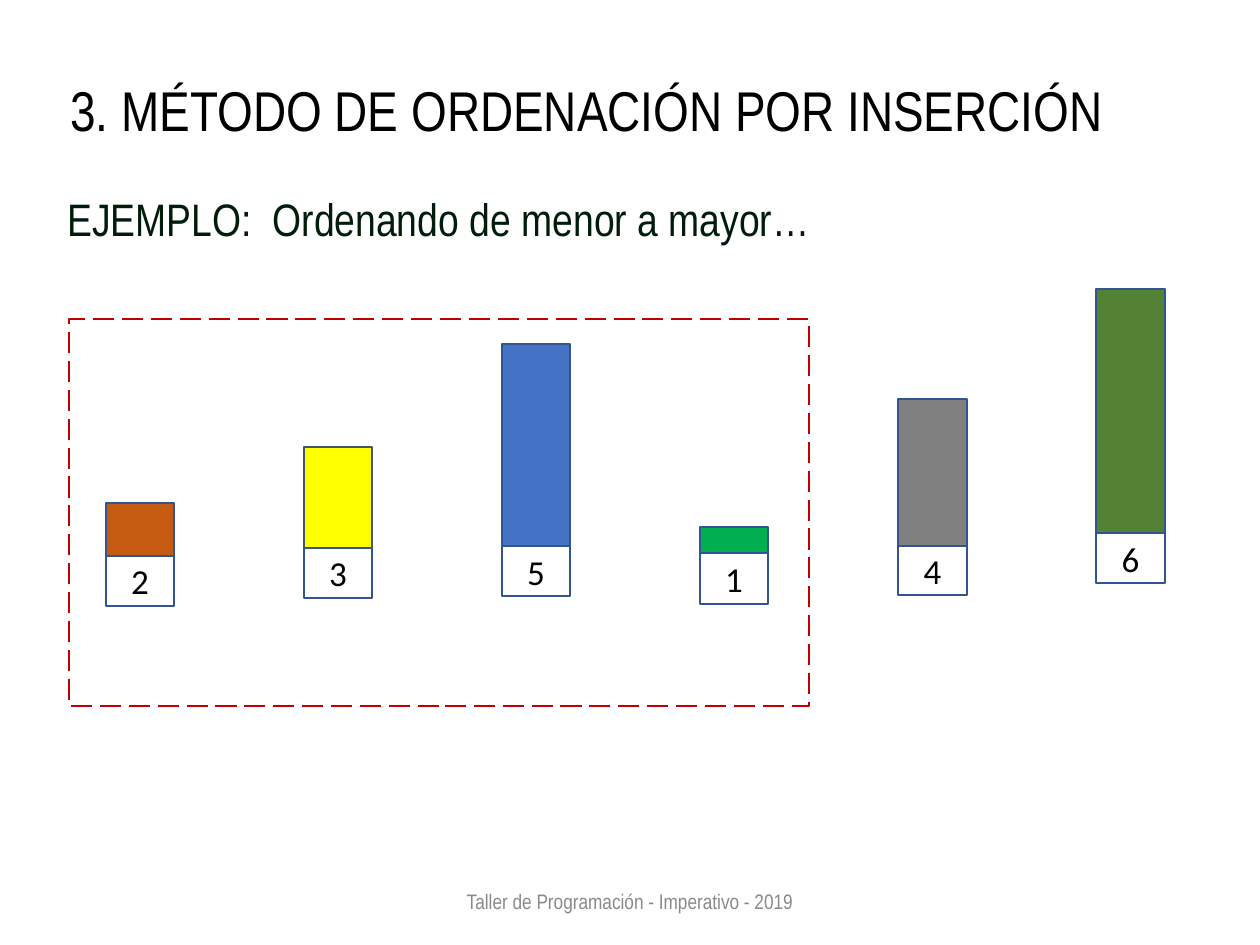
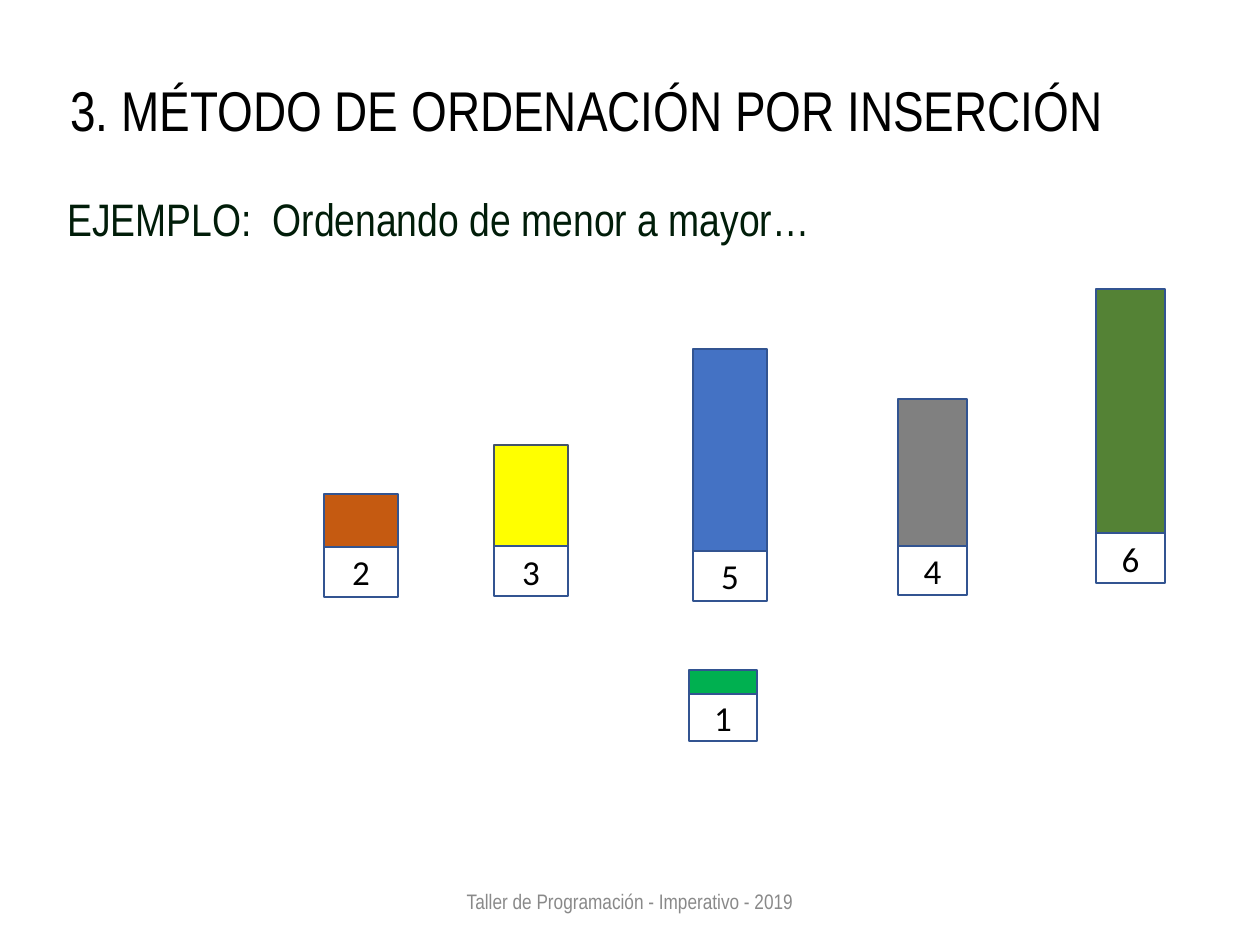
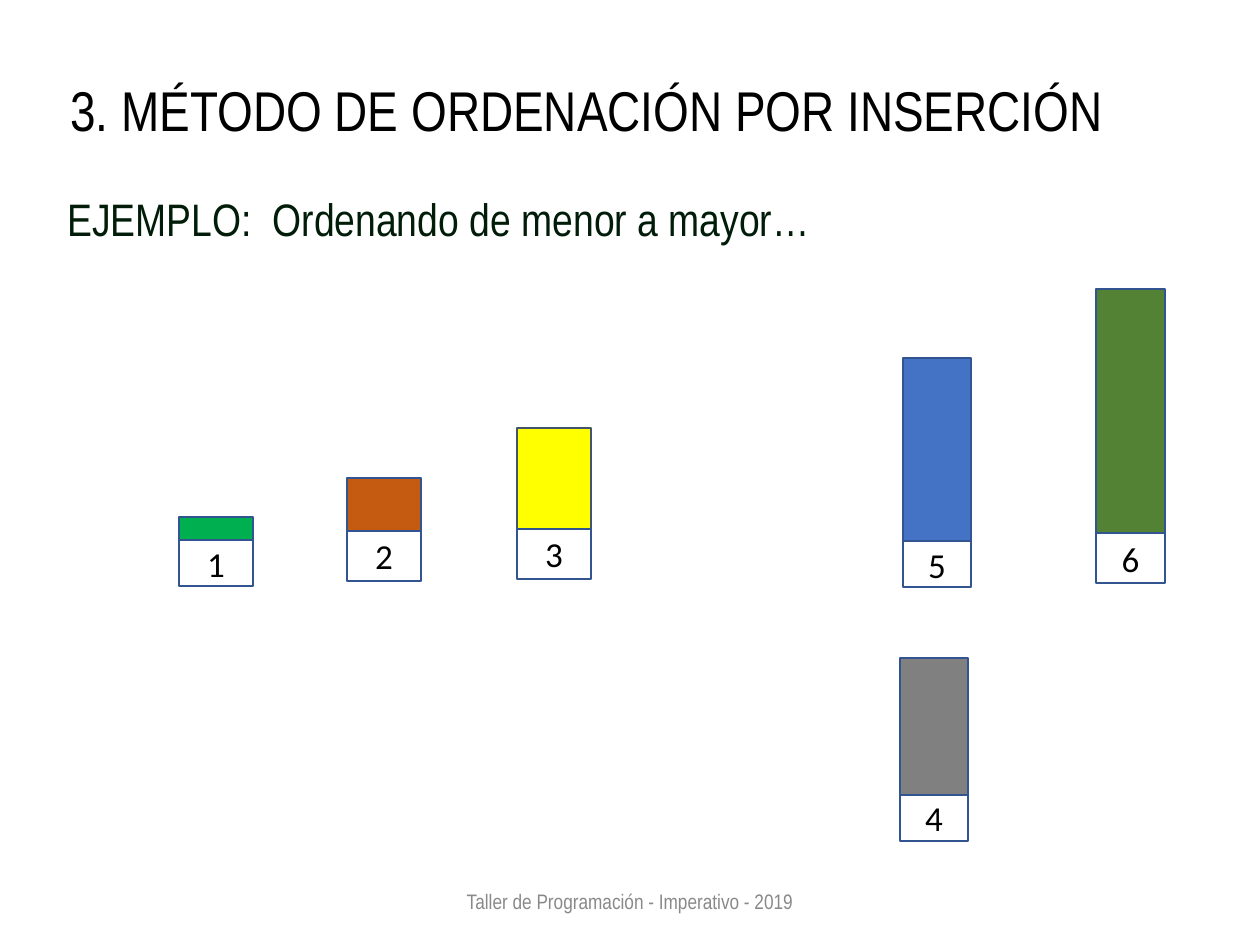
"""Build three slides that sort columns by insertion."""
import pptx
import pptx.dml.color
import pptx.enum.dml
import pptx.enum.shapes
import pptx.enum.text
import pptx.util

ALIGN = pptx.enum.text.PP_ALIGN
ANCHOR = pptx.enum.text.MSO_ANCHOR
FIT = pptx.enum.text.MSO_AUTO_SIZE
RECTANGLE = pptx.enum.shapes.MSO_SHAPE.RECTANGLE
PIXELS_PER_INCH = 126

COLORS = {
    "title": "000000", "subtitle": "011D09", "footer": "898989", "label": "000000",
    "outline": "325491", "yellow_outline": "44546A", "frame": "C00000",
    1: "00B050", 2: "C55A11", 3: "FFFF00", 4: "808080", 5: "4472C4", 6: "548235",
}
BODY_SHARES = {1: 0.34, 2: 0.51, 3: 0.67, 4: 0.75, 5: 0.8, 6: 0.83}

STYLES = {
    "title": {
        "font": {"name": "Arial Narrow", "size": pptx.util.Pt(32)},
        "paragraph": {"alignment": ALIGN.CENTER, "line_spacing": 0.9},
        "frame": {"word_wrap": True, "vertical_anchor": ANCHOR.BOTTOM},
    },
    "subtitle": {
        "font": {"name": "Arial Narrow", "size": pptx.util.Pt(26)},
        "paragraph": {"alignment": ALIGN.LEFT},
        "frame": {"word_wrap": True, "auto_size": FIT.SHAPE_TO_FIT_TEXT},
    },
    "footer": {
        "font": {"name": "Arial Narrow", "size": pptx.util.Pt(12)},
        "paragraph": {"alignment": ALIGN.CENTER},
        "frame": {"word_wrap": True, "vertical_anchor": ANCHOR.MIDDLE},
    },
    "label": {
        "font": {"name": "Calibri", "size": pptx.util.Pt(20)},
        "paragraph": {"alignment": ALIGN.CENTER},
        "frame": {"word_wrap": True, "vertical_anchor": ANCHOR.MIDDLE},
    },
}

SHARED_TEXTS = [
    ("footer", "Taller de Programación - Imperativo - 2019", (417, 876, 426, 50)),
    ("subtitle", "EJEMPLO:  Ordenando de menor a mayor…", (55, 185, 824, 68)),
    ("title", "3. MÉTODO DE ORDENACIÓN POR INSERCIÓN", (44, 45, 1086, 105)),
]

START_LEFT, START_STEP = 106, 198
START_COLUMNS = [
    (value, (START_LEFT + START_STEP * index, top, width, height))
    for index, (value, top, width, height) in enumerate([
        (2, 503, 68, 103), (3, 447, 68, 151), (5, 344, 68, 252),
        (1, 527, 68, 77), (4, 399, 69, 196), (6, 289, 69, 294),
    ])
]
FOURTH_COLUMN, LAST_COLUMN = START_COLUMNS[-2:]

SLIDES = [
    {"columns": START_COLUMNS, "frame": (69, 319, 740, 387)},
    {"columns": [
        (5, (693, 349, 74, 252)), (3, (494, 445, 74, 151)), (2, (324, 494, 74, 103)),
        (1, (689, 670, 68, 71)), FOURTH_COLUMN, LAST_COLUMN,
    ]},
    {"columns": [
        (5, (903, 358, 68, 229)), (4, (900, 658, 68, 183)), (1, (179, 517, 74, 69)),
        (3, (517, 428, 74, 151)), (2, (347, 478, 74, 103)), LAST_COLUMN,
    ]},
]


def px(length):
    """Turn pixels into EMU."""
    return pptx.util.Inches(length / PIXELS_PER_INCH)


def color(key):
    """Return the named colour."""
    return pptx.dml.color.RGBColor.from_string(COLORS[key])


def set_attributes(target, values):
    """Set each named value on the target."""
    for name, value in values.items():
        setattr(target, name, value)


def write_text(shape, text, style):
    """Write one styled paragraph into a shape."""
    set_attributes(shape.text_frame, STYLES[style]["frame"])
    paragraph = shape.text_frame.paragraphs[0]
    set_attributes(paragraph, STYLES[style]["paragraph"])
    run = paragraph.add_run()
    run.text = text
    set_attributes(run.font, STYLES[style]["font"])
    run.font.color.rgb = color(style)


def add_rectangle(shapes, box, outline, fill=None, line_format=None):
    """Add an outlined rectangle, hollow unless a fill is named."""
    shape = shapes.add_shape(RECTANGLE, *map(px, box))
    shape.shadow.inherit = False
    if fill is None:
        shape.fill.background()
    else:
        shape.fill.solid()
        shape.fill.fore_color.rgb = color(fill)
    shape.line.color.rgb = color(outline)
    set_attributes(shape.line, line_format or {"width": pptx.util.Pt(1)})
    return shape


def add_column(slide, value, box):
    """Split a box into a coloured bar and its number below."""
    left, top, width, height = box
    body_height = round(height * BODY_SHARES[value])
    shapes = slide.shapes.add_group_shape().shapes
    outline = "yellow_outline" if value == 3 else "outline"
    add_rectangle(shapes, (left, top, width, body_height), outline, value)
    label_box = (left, top + body_height, width, height - body_height)
    write_text(add_rectangle(shapes, label_box, "outline"), str(value), "label")


def add_frame(slide, box):
    """Add the dashed frame around the part being sorted."""
    add_rectangle(slide.shapes, box, "frame", line_format={
        "width": pptx.util.Pt(1.5),
        "dash_style": pptx.enum.dml.MSO_LINE.LONG_DASH,
    })


def add_sorting_slide(presentation, columns, frame=None):
    """Add a slide with the shared texts, its columns and an optional frame."""
    slide = presentation.slides.add_slide(presentation.slide_layouts[6])
    for style, text, box in SHARED_TEXTS:
        write_text(slide.shapes.add_textbox(*map(px, box)), text, style)
    for value, box in columns:
        add_column(slide, value, box)
    if frame:
        add_frame(slide, frame)


def main():
    """Build and save the presentation."""
    presentation = pptx.Presentation()
    presentation.slide_width = px(1260)
    presentation.slide_height = px(945)
    for content in SLIDES:
        add_sorting_slide(presentation, **content)
    presentation.save("out.pptx")


if __name__ == "__main__":
    main()
